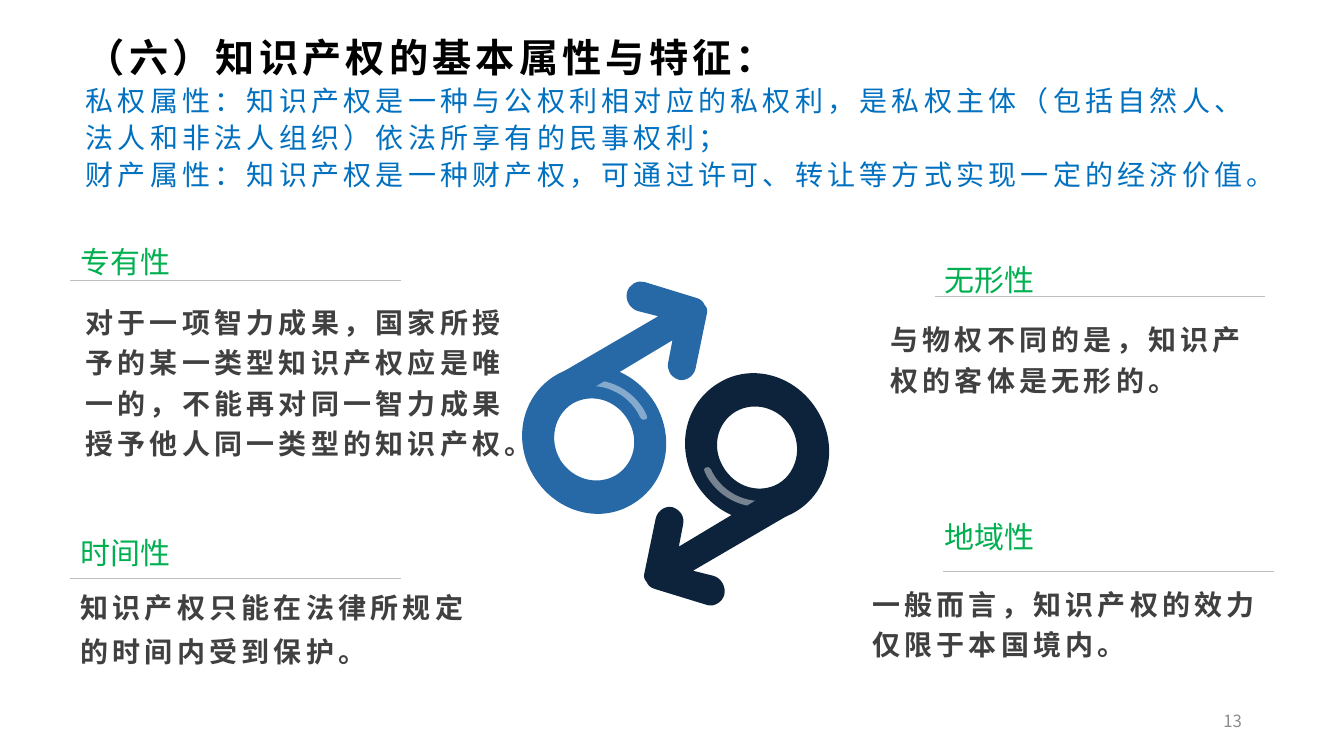
import math

from lxml import etree
from pptx import Presentation
from pptx.dml.color import RGBColor
from pptx.enum.shapes import MSO_CONNECTOR
from pptx.enum.text import MSO_ANCHOR, MSO_AUTO_SIZE, PP_ALIGN
from pptx.oxml.ns import qn
from pptx.util import Pt

STRAIGHT = MSO_CONNECTOR.STRAIGHT
TOP, MIDDLE = MSO_ANCHOR.TOP, MSO_ANCHOR.MIDDLE
LEFT, RIGHT = PP_ALIGN.LEFT, PP_ALIGN.RIGHT
FONT = "Noto Sans CJK SC"
COLORS = {
    "title": "000000", "attribute": "0070C0", "heading": "00B050",
    "body": "404040", "rule": "BFBFBF", "number": "8C8C8C",
    "blue": "2669A6", "navy": "0D233B", "shine": "FFFFFF",
}
RULE_WIDTH = 236.2
EMBLEM_CENTER = (482.6, 316.8)
EMBLEM_TILT = 59.3

# Emblem outlines: a pair of numbers is a line end, six numbers are a Bezier curve
RING = [
    [(468, 288.3),
     (452.1, 262.4, 421.2, 253.8, 396.7, 268.2),
     (372.9, 282.6, 365.7, 314.3, 380.9, 339.5),
     (396, 365.4, 427.7, 374.7, 451.4, 360.3),
     (475.9, 345.9, 483.1, 314.3, 468, 288.3)],
    [(400.3, 328.7),
     (391.7, 314.3, 396, 296.3, 408.9, 288.3),
     (422.6, 280.4, 439.9, 285.5, 448.5, 299.9),
     (457.2, 314.3, 452.9, 331.5, 439.9, 339.5),
     (426.2, 347.4, 408.9, 342.3, 400.3, 328.7)],
]
SHINE = [
    [(461.5, 295.9), (460.1, 293),
     (448.6, 273.6, 424.8, 266.4, 405.4, 275), (407.5, 278.6),
     (424.8, 271.4, 445.7, 277.9, 455.8, 295.2), (457.2, 298.1),
     (458.6, 300.2, 460.1, 300.2, 461.5, 299.5),
     (462.2, 298.8, 463, 297.4, 461.5, 295.9)],
]
ARROW = [
    [(496.8, 263.3), (504.7, 225.1),
     (505.5, 222.3, 505.5, 220.1, 503.3, 217.9),
     (502.6, 215.8, 500.4, 213.6, 497.5, 212.9), (460.1, 201.4),
     (455.1, 199.9, 449.3, 203.5, 447.9, 208.6),
     (446.4, 214.3, 450, 220.8, 455.8, 222.3), (470.2, 225.9), (397.5, 268.3),
     (392.4, 271.9, 391, 278.4, 393.9, 282.7),
     (396.7, 288.5, 403.2, 289.2, 408.3, 286.3), (480.3, 243.1), (477.4, 258.3),
     (475.9, 264, 478.8, 269.1, 484.6, 271.2),
     (489.6, 272.7, 495.4, 269.1, 496.8, 263.3)],
]

TITLE_LINES = [
    ("（六）知识产权的基本属性与特征：", 28, "title", True),
    ("私权属性：知识产权是一种与公权利相对应的私权利，是私权主体（包括自然人、"
     "法人和非法人组织）依法所享有的民事权利；", 20, "attribute", False),
    ("财产属性：知识产权是一种财产权，可通过许可、转让等方式实现一定的经济价值。",
     20, "attribute", False),
]
# Heading, its corner, rule start, body box, body line spacing, body text
FEATURES = [
    ("专有性", (50.2, 170.6), (50.2, 200.2), (54, 209.9, 316.1, 154.8), 1.2,
     "对于一项智力成果，国家所授予的某一类型知识产权应是唯一的，"
     "不能再对同一智力成果授予他人同一类型的知识产权。"),
    ("时间性", (50.2, 378), (50.2, 413.3), (50.4, 411.1, 309.6, 108), 1.3,
     "知识产权只能在法律所规定的时间内受到保护。"),
    ("无形性", (667.4, 183.2), (667.6, 211.3), (628.9, 222.2, 275, 107.3), 1.2,
     "与物权不同的是，知识产权的客体是无形的。"),
    ("地域性", (667.4, 366.8), (673.5, 408.2), (615.9, 411.1, 293.8, 110.2), 1.2,
     "一般而言，知识产权的效力仅限于本国境内。"),
]


def color(name):
    return RGBColor.from_string(COLORS[name])


def format_para(para, size, color_name, bold=False, tracking=0, spacing=1.0, align=LEFT):
    para.alignment = align
    para.line_spacing = spacing
    para.space_before = Pt(0)
    for span in para.runs:
        span.font.size = Pt(size)
        span.font.bold = bold
        span.font.color.rgb = color(color_name)
        span.font.name = FONT
        properties = span.font._element
        properties.set("spc", str(tracking * 100))
        etree.SubElement(properties, qn("a:ea")).set("typeface", FONT)


def add_text(page, box, text, anchor, **style):
    shape = page.shapes.add_textbox(*map(Pt, box))
    frame = shape.text_frame
    frame.word_wrap = True
    frame.vertical_anchor = anchor
    frame.text = text
    format_para(frame.paragraphs[0], **style)


def add_title(page, box):
    title = page.shapes.title
    title.left, title.top, title.width, title.height = map(Pt, box)
    frame = title.text_frame
    frame.word_wrap = True
    frame.auto_size = MSO_AUTO_SIZE.NONE
    frame.vertical_anchor = TOP
    frame.text = "\n".join(line[0] for line in TITLE_LINES)
    for para, (_, size, color_name, bold) in zip(frame.paragraphs, TITLE_LINES):
        format_para(para, size, color_name, bold, tracking=3, spacing=1.1)


def add_feature(page, heading, corner, rule_start, body_box, spacing, body):
    left, top = rule_start
    rule = page.shapes.add_connector(
        STRAIGHT, Pt(left), Pt(top), Pt(left + RULE_WIDTH), Pt(top))
    rule.line.color.rgb = color("rule")
    rule.line.width = Pt(0.25)
    etree.SubElement(rule._element.spPr, qn("a:effectLst"))
    add_text(page, (*corner, RULE_WIDTH, 33.1), heading, MIDDLE,
             size=21.4, color_name="heading")
    add_text(page, body_box, body, TOP, size=20, color_name="body",
             bold=True, tracking=3, spacing=spacing)


def rotate(x, y, degrees):
    """Rotate a point, in EMU, about the emblem's center."""
    center_x, center_y = map(Pt, EMBLEM_CENTER)
    cos, sin = math.cos(math.radians(degrees)), math.sin(math.radians(degrees))
    x, y = x - center_x, y - center_y
    return round(center_x + x * cos - y * sin), round(center_y + x * sin + y * cos)


def add_outline(page, contours, color_name, turn, opacity=100):
    # Lay the outline upright; the shape's own rotation tilts it
    upright = [[[rotate(Pt(x), Pt(y), turn - EMBLEM_TILT)
                 for x, y in zip(segment[::2], segment[1::2])]
                for segment in contour] for contour in contours]
    builder = page.shapes.build_freeform(*upright[0][0][0])
    for index, contour in enumerate(upright):
        if index:
            builder.move_to(*contour[0][0])
        builder.add_line_segments([segment[-1] for segment in contour[1:]], close=True)
    shape = builder.convert_to_shape()

    # Bend the line segments that have control points
    segments = [segment for contour in upright for segment in contour[1:]]
    for line, segment in zip(list(shape._element.iter(qn("a:lnTo"))), segments):
        if len(segment) == 3:
            curve = etree.Element(qn("a:cubicBezTo"))
            for x, y in segment:
                point = etree.SubElement(curve, qn("a:pt"))
                point.set("x", str(x - shape.left))
                point.set("y", str(y - shape.top))
            line.getparent().replace(line, curve)

    middle_x, middle_y = rotate(shape.left + shape.width / 2,
                                shape.top + shape.height / 2, EMBLEM_TILT)
    shape.left = round(middle_x - shape.width / 2)
    shape.top = round(middle_y - shape.height / 2)
    shape.rotation = EMBLEM_TILT
    shape.shadow.inherit = False
    shape.fill.solid()
    shape.fill.fore_color.rgb = color(color_name)
    shape.line.fill.background()
    if opacity < 100:
        fill = shape._element.spPr.find(qn("a:solidFill"))
        etree.SubElement(fill[0], qn("a:alpha")).set("val", str(opacity * 1000))


def add_emblem(page):
    # The navy figure is the blue one turned by half a circle
    for color_name, turn in (("blue", 0), ("navy", 180)):
        add_outline(page, RING, color_name, turn)
        add_outline(page, SHINE, "shine", turn, opacity=44)
        add_outline(page, ARROW, color_name, turn)


def main():
    deck = Presentation()
    deck.slide_width, deck.slide_height = Pt(960), Pt(540)
    page = deck.slides.add_slide(deck.slide_layouts[5])
    add_title(page, (54, 16.6, 860.4, 132.5))
    add_emblem(page)
    for feature in FEATURES:
        add_feature(page, *feature)
    # Page number
    add_text(page, (678.2, 500.4, 216, 28.8), "13", MIDDLE,
             size=12, color_name="number", align=RIGHT)
    deck.save("out.pptx")


if __name__ == "__main__":
    main()
